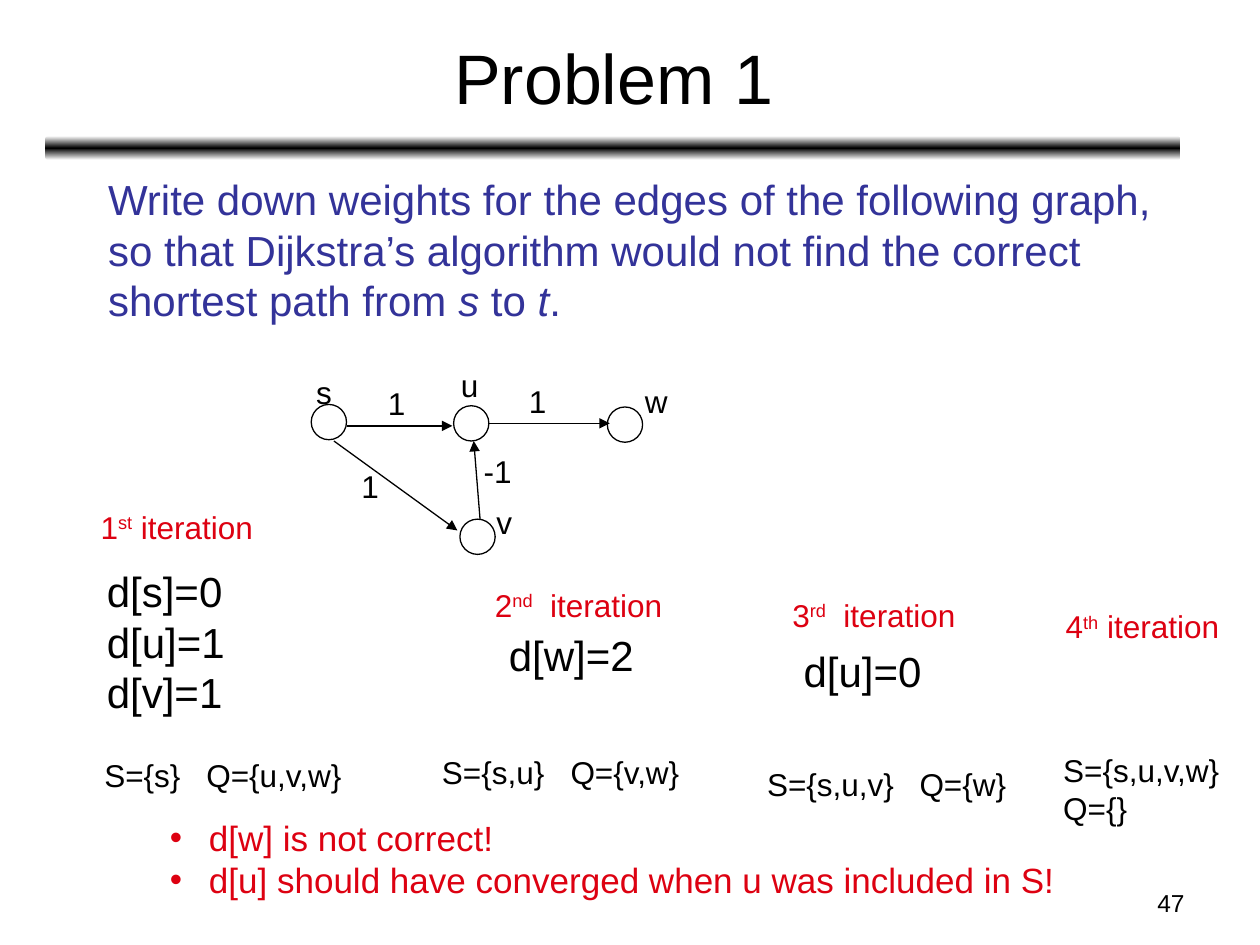
import copy

import pptx
import pptx.dml.color
import pptx.enum.shapes
import pptx.enum.text
import pptx.oxml
import pptx.oxml.ns
import pptx.util

RGBColor = pptx.dml.color.RGBColor
Pt = pptx.util.Pt
SHAPE = pptx.enum.shapes.MSO_SHAPE
ALIGN = pptx.enum.text.PP_ALIGN
ANCHOR = pptx.enum.text.MSO_ANCHOR
NS = pptx.oxml.ns.nsdecls("a")

BLACK = RGBColor(0x00, 0x00, 0x00)
WHITE = RGBColor(0xFF, 0xFF, 0xFF)
BLUE = RGBColor(0x33, 0x33, 0x99)
RED = RGBColor(0xDD, 0x01, 0x11)

prs = pptx.Presentation()
prs.slide_width = pptx.util.Inches(10)
prs.slide_height = pptx.util.Inches(7.5)
s = prs.slides.add_slide(prs.slide_layouts[6])

# Square grid: 100 columns by 75 rows
COL = prs.slide_width / 100
ROW = prs.slide_height / 75


def grid(x, y, *size):
    """Turn columns and rows into lengths, alternating between the two."""
    return [round(n * unit) for n, unit in zip((x, y, *size), (COL, ROW, COL, ROW))]


def add_text(at, *lines, size=18, color=BLACK, align=ALIGN.LEFT,
             anchor=ANCHOR.TOP, wrap=False, tab=None, bullet=None):
    """Add a text box; a line is a string or a list of (text, style) runs."""
    tf = s.shapes.add_textbox(*grid(*at)).text_frame
    tf.word_wrap = wrap
    tf.vertical_anchor = anchor
    for i, line in enumerate(lines):
        p = tf.paragraphs[0] if i == 0 else tf.add_paragraph()
        p.alignment = align
        p.line_spacing = Pt(size * 1.2)
        pPr = p._p.get_or_add_pPr()
        if bullet:
            indent = round(bullet * COL)
            pPr.set("marL", str(indent))
            pPr.set("indent", str(-indent))
            pPr.append(pptx.oxml.parse_xml(f'<a:buFont {NS} typeface="Arial"/>'))
            pPr.append(pptx.oxml.parse_xml(f'<a:buChar {NS} char="•"/>'))
        if tab:
            pPr.append(pptx.oxml.parse_xml(
                f'<a:tabLst {NS}><a:tab pos="{round(tab * COL)}" algn="l"/></a:tabLst>'))
        for text, style in [(line, "")] if isinstance(line, str) else line:
            r = p.add_run()
            r.text = text
            r.font.name = "Arial"
            r.font.size = Pt(size)
            r.font.color.rgb = color
            if style == "italic":
                r.font.italic = True
            elif style == "super":
                r.font._element.set("baseline", "30000")


# Title, rule and page number
rule = s.shapes.add_shape(SHAPE.ROUNDED_RECTANGLE, *grid(3.6, 10.8, 90.1, 1.9))
rule.shadow.inherit = False
rule.line.fill.background()
rule.fill.gradient()
rule.fill.gradient_angle = 90
first, last = rule.fill.gradient_stops
first.color.rgb = BLACK
last.color.rgb = WHITE
stops = rule._element.spPr.find(".//" + pptx.oxml.ns.qn("a:gsLst"))
middle = copy.deepcopy(stops[0])
middle.set("pos", "50000")
stops.insert(1, middle)
first.color.rgb = WHITE

add_text((71.7, 70, 23.3, 3.5), "47", size=14, align=ALIGN.RIGHT, wrap=True)
add_text((3.7, 1.1, 90, 9.9), "Problem 1", size=40, align=ALIGN.CENTER,
         anchor=ANCHOR.MIDDLE, wrap=True)
add_text((7.6, 13.3, 86.3, 13),
         [("Write down weights for the edges of the following graph, so that "
           "Dijkstra’s algorithm would not find the correct shortest path from ", ""),
          ("s ", "italic"), ("to ", ""), ("t", "italic"), (".", "")],
         size=24, color=BLUE, wrap=True)

# Graph: nodes, edges, then their labels
for x, y in [(24.7, 32.1), (36, 32.2), (48.2, 32.3), (36.5, 41.2)]:
    node = s.shapes.add_shape(SHAPE.OVAL, *grid(x, y, 2.8, 2.8))
    node.shadow.inherit = False
    node.fill.background()
    node.line.color.rgb = BLACK
    node.line.width = Pt(0.75)

for start, end in [((27.5, 33.8), (35.9, 33.8)), ((26.5, 35), (36.3, 42.1)),
                   ((38.7, 33.6), (48.4, 33.6)), ((38.1, 41.2), (37.6, 35))]:
    edge = s.shapes.add_connector(pptx.enum.shapes.MSO_CONNECTOR.STRAIGHT,
                                  *grid(*start), *grid(*end))
    edge.line.color.rgb = BLACK
    edge.line.width = Pt(0.75)
    ln = edge._element.spPr.find(pptx.oxml.ns.qn("a:ln"))
    ln.append(pptx.oxml.parse_xml(f'<a:tailEnd {NS} type="triangle"/>'))
    edge._element.spPr.append(pptx.oxml.parse_xml(f"<a:effectLst {NS}/>"))

for label, x, y, width in [("s", 24.1, 29.1, 3.2), ("u", 35.6, 28.6, 3.4),
                           ("v", 38.4, 39.4, 3.2), ("w", 50.2, 29.8, 3.8),
                           ("1", 29.8, 30, 3.4), ("1", 27.7, 36.6, 3.4),
                           ("1", 41, 29.8, 3.4), ("-1", 37.4, 35.4, 4.2)]:
    add_text((x, y, width, 4), label)

# Iterations: heading, distances
for number, suffix, word, x, y in [("1", "st", " iteration", 7, 39.8),
                                   ("2", "nd", "  iteration", 38.3, 46),
                                   ("3", "rd", "  iteration", 61.9, 46.8),
                                   ("4", "th", " iteration", 83.6, 47.7)]:
    add_text((x, y, 16, 4), [(number, ""), (suffix, "super"), (word, "")],
             color=RED, wrap=True)

for x, y, distances in [(7.5, 44.4, ["d[s]=0", "d[u]=1", "d[v]=1"]),
                        (39.4, 49.5, ["d[w]=2"]), (62.8, 50.7, ["d[u]=0"])]:
    add_text((x, y, 14, 1 + 4 * len(distances)), *distances, size=24,
             anchor=ANCHOR.MIDDLE, wrap=True)

# Visited set S and queue Q of each iteration
for x, y, sets, tab in [(7.3, 59.5, "S={s}\tQ={u,v,w}", 8.1),
                        (34.1, 59.3, "S={s,u}\tQ={v,w}", 10.2),
                        (59.9, 60.2, "S={s,u,v}\tQ={w}", 12.1)]:
    add_text((x, y, 22, 4), sets, tab=tab, wrap=True)
add_text((83.4, 59.1, 15.6, 7), "S={s,u,v,w}", "Q={}", wrap=True)

add_text((12.5, 64.3, 76.1, 7.7), "d[w] is not correct!",
         "d[u] should have converged when u was included in S!",
         size=20, color=RED, anchor=ANCHOR.MIDDLE, wrap=True, bullet=3.1)

prs.save("out.pptx")
